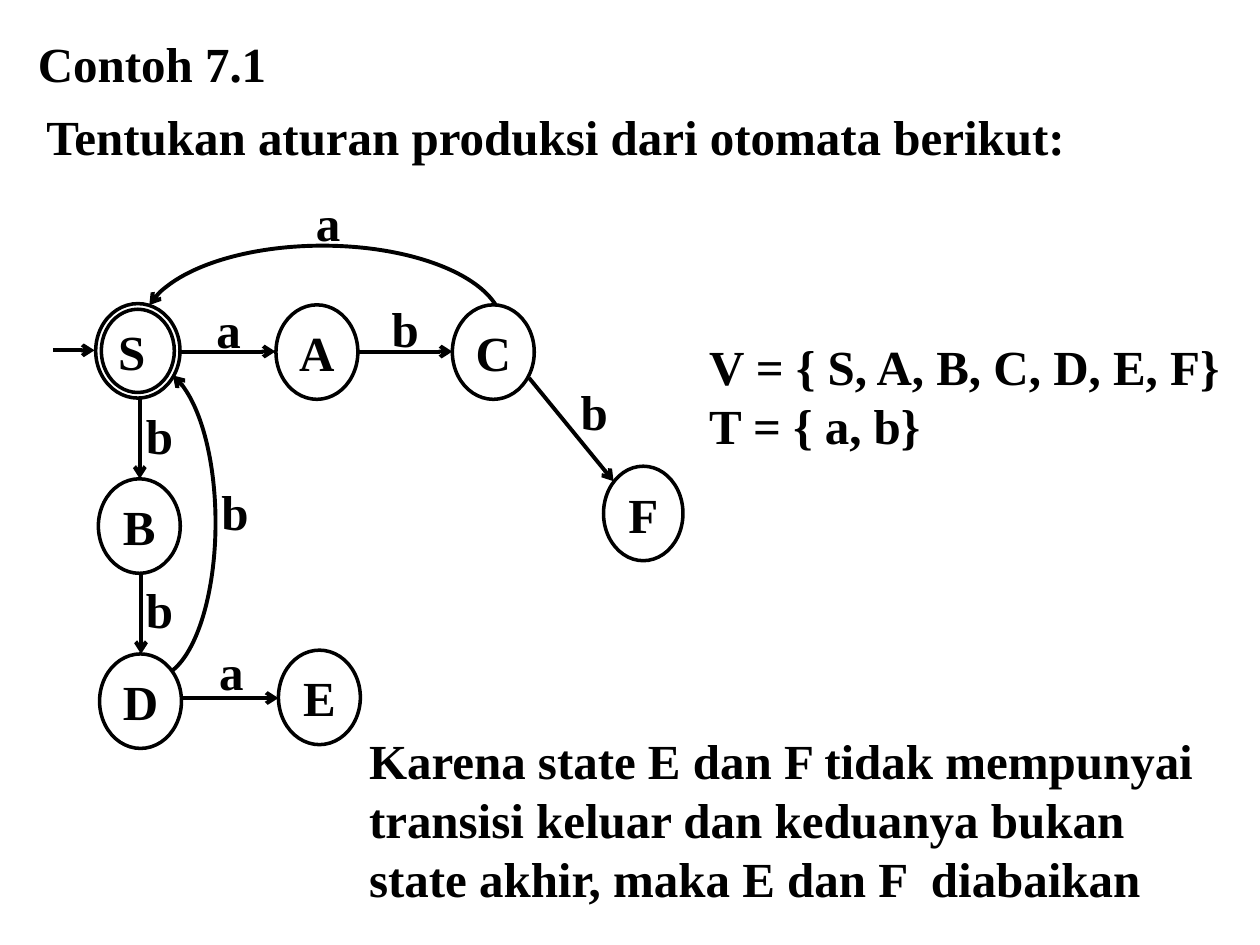
from pptx import Presentation
from pptx.dml.color import RGBColor
from pptx.enum.shapes import MSO_CONNECTOR, MSO_SHAPE
from pptx.enum.text import MSO_ANCHOR, MSO_AUTO_SIZE, PP_ALIGN
from pptx.oxml.ns import qn
from pptx.util import Pt
from lxml.etree import SubElement

COLORS = {"ink": "000000"}


class Board:
    """Text style and current slide, with one method per kind of element."""

    face = "Times New Roman"
    size = 28
    rim = 2
    stroke = 2.25

    def __init__(self, slide):
        self.slide = slide
        self.ink = RGBColor.from_string(COLORS["ink"])

    def fill_text(self, shape, lines, align=PP_ALIGN.LEFT, wrap=False,
                  anchor=MSO_ANCHOR.TOP):
        frame = shape.text_frame
        frame.text = "\n".join(lines)
        frame.word_wrap = wrap
        frame.auto_size = MSO_AUTO_SIZE.NONE
        frame.vertical_anchor = anchor
        for para in frame.paragraphs:
            para.alignment = align
            font = para.font
            font.name, font.size, font.bold = self.face, Pt(self.size), True
            font.color.rgb = self.ink

    def title(self, text, *box):
        shape = self.slide.shapes.title
        shape.left, shape.top, shape.width, shape.height = map(Pt, box)
        self.fill_text(shape, [text])

    def text(self, lines, *box, wrap=True):
        shape = self.slide.shapes.add_textbox(*map(Pt, box))
        self.fill_text(shape, lines, wrap=wrap)

    def label(self, text, left, top):
        self.text([text], left, top, 25, 33, wrap=False)

    def outline(self, kind, box, width):
        shape = self.slide.shapes.add_shape(kind, *map(Pt, box))
        shape.shadow.inherit = False
        shape.fill.background()
        shape.line.color.rgb = self.ink
        shape.line.width = Pt(width)
        return shape

    def state(self, name, left, top, width=46.8, final=False):
        kind = MSO_SHAPE.DONUT if final else MSO_SHAPE.OVAL
        shape = self.outline(kind, (left, top, width, 54), self.rim)
        if final:
            shape.adjustments[0] = 0.067
        self.fill_text(shape, [name], PP_ALIGN.CENTER,
                       anchor=MSO_ANCHOR.MIDDLE)

    def tip(self, shape, end):
        """Put an open arrowhead on headEnd (start) or tailEnd (finish)."""
        line = shape.element.spPr.find(qn("a:ln"))
        SubElement(line, qn("a:" + end), type="arrow")

    def arrow(self, *ends):
        shape = self.slide.shapes.add_connector(
            MSO_CONNECTOR.STRAIGHT, *map(Pt, ends))
        shape.line.color.rgb = self.ink
        shape.line.width = Pt(self.stroke)
        self.tip(shape, "tailEnd")
        SubElement(shape.element.spPr, qn("a:effectLst"))

    def arc(self, box, start, stop, turn=0):
        shape = self.outline(MSO_SHAPE.ARC, box, self.stroke)
        shape.adjustments[0] = start
        shape.adjustments[1] = stop
        shape.rotation = turn
        self.tip(shape, "headEnd")


def main():
    deck = Presentation()
    deck.slide_width, deck.slide_height = Pt(720), Pt(540)
    board = Board(deck.slides.add_slide(deck.slide_layouts[5]))

    board.title("Contoh 7.1", 14.4, 15.8, 147, 41)
    board.text(["Tentukan aturan produksi dari otomata berikut:"],
               19.4, 57.6, 657, 41)

    board.state("S ", 54.7, 173.5, 48.2, final=True)
    for name, left, top in (("A", 157.7, 174.2), ("C", 258.5, 174.2),
                            ("B", 56.2, 273.6), ("D", 56.9, 373.7),
                            ("E", 159.1, 371.5)):
        board.state(name, left, top)
    board.state("F", 344.9, 266.4, 45.4)

    for ends in ((30.2, 200.2, 54, 200.2),        # start to S
                 (102.5, 200.9, 157.4, 200.9),    # S to A
                 (203.8, 200.9, 258.5, 200.9),    # A to C
                 (302.4, 216, 350.6, 275),        # C to F
                 (79.9, 227.5, 79.9, 273.6),      # S to B
                 (80.6, 327.6, 80.6, 373.7),      # B to D
                 (104.4, 398.9, 159.1, 398.9)):   # D to E
        board.arrow(*ends)
    board.arc((81.4, 140.4, 205.9, 93.6), 112.44, 211.59)         # C to S
    board.arc((-0.7, 263.5, 177.1, 70.6), 112.44, 211.82, 90)     # D to S

    for text, left, top in (("a", 173.5, 106.6), ("a", 116.6, 167.8),
                            ("b", 216.7, 167), ("b", 324.7, 214.6),
                            ("b", 76.3, 228.2), ("b", 119.5, 271.4),
                            ("b", 76.3, 327.6), ("a", 118.1, 362.9)):
        board.label(text, left, top)

    board.text(["V = { S, A, B, C, D, E, F}", "T = { a, b}"],
               398.2, 188.6, 321.8, 75)
    board.text(["Karena state E dan F tidak mempunyai transisi keluar dan "
                "keduanya bukan state akhir, maka E dan F  diabaikan"],
               203.8, 414, 499, 109)
    deck.save("out.pptx")


if __name__ == "__main__":
    main()
